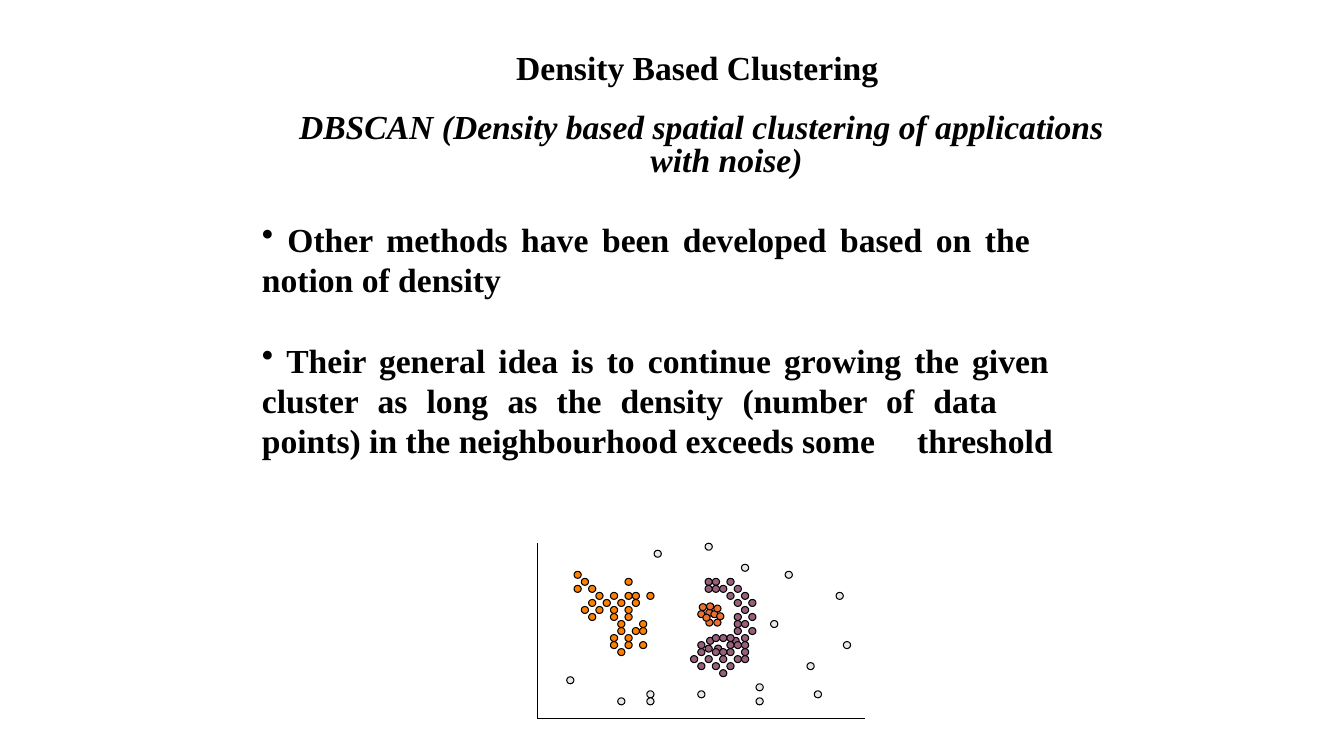
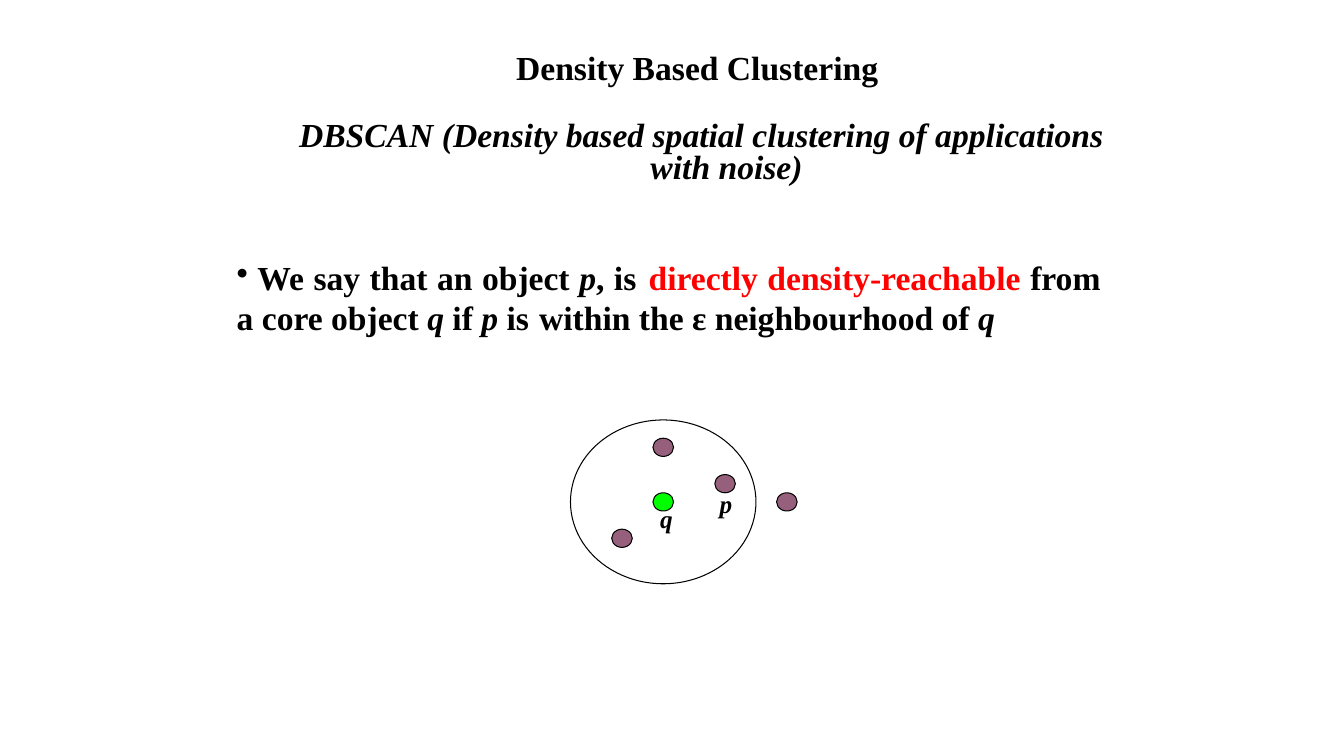
from dataclasses import dataclass

from lxml.etree import SubElement
from pptx import Presentation
from pptx.dml.color import RGBColor
from pptx.enum.shapes import MSO_CONNECTOR, MSO_SHAPE
from pptx.enum.text import PP_ALIGN
from pptx.oxml.ns import qn
from pptx.util import Pt


@dataclass(frozen=True)
class Theme:
    font: str = "Times New Roman"
    text_size: int = 24
    label_size: int = 18
    line_width: float = 0.75
    ink: str = "000000"
    accent: str = "FF0000"
    orange: str = "FF8000"
    rust: str = "E97132"
    plum: str = "96607D"
    green: str = "00FF00"
    grey: str = "E8E8E8"


THEME = Theme()

TITLE = "Density Based Clustering"
SUBTITLE = "DBSCAN (Density based spatial clustering of applications with noise)"

DENSITY_POINTS = [
    [(" Other methods have been developed based on the \tnotion of density", "")],
    [(" Their general idea is to continue growing the given \tcluster as long as the density "
      "(number of data \tpoints) in the neighbourhood exceeds some \tthreshold ", "")],
]
REACHABLE_POINTS = [[
    (" We say that an object ", ""), ("p", "italic"), (", is \t", ""),
    ("directly density-reachable ", "accent"), ("from \ta core object ", ""),
    ("q", "italic"), (" if ", ""), ("p", "italic"),
    (" is \twithin the ε neighbourhood of ", ""), ("q", "italic"),
]]

# Each cluster maps a grid row to the columns that hold a dot.
CLUSTERS = [
    (THEME.orange, {
        4: [1], 5: [2, 8], 6: [1, 3], 7: [4, 6, 8, 9, 11], 8: [3, 5, 7, 9],
        9: [2, 4, 6, 8], 10: [3, 6, 8], 11: [7, 10], 12: [7, 9, 10],
        13: [6, 8], 14: [6, 8, 10], 15: [7]}),
    (THEME.plum, {
        5: [19, 20, 22], 6: [19, 20, 21, 23], 7: [22, 24], 8: [23, 25], 9: [24],
        10: [23, 25], 11: [23, 24], 12: [23, 25], 13.4: [19.2, 22.7],
        13: [20, 21, 22, 24], 14.5: [19, 20.3], 14: [18, 22, 23, 24],
        15: [18, 20, 21, 22, 24], 16: [17, 19, 21, 23, 24], 17: [18, 20, 22],
        18: [21]}),
    (THEME.grey, {
        0: [19], 1: [12], 3: [24], 4: [30], 7: [37], 11: [28], 14: [38],
        17: [33], 19: [0], 20: [26], 21: [11, 18, 34], 22: [7, 11, 26]}),
    (THEME.rust, {
        9.4: [19.1], 10.8: [19.1, 20.2], 9.6: [18, 19.8], 10.1: [18.7],
        8.6: [18.2], 8.5: [19.2], 9.9: [20.6], 8.8: [20.2]}),
]


def color(code):
    return RGBColor.from_string(code)


def style_span(span, size=THEME.text_size, italic=False, ink=THEME.ink):
    font = span.font
    font.name, font.size, font.bold, font.italic = THEME.font, Pt(size), True, italic
    font.color.rgb = color(ink)


def add_text_frame(page, box):
    frame = page.shapes.add_textbox(*map(Pt, box)).text_frame
    frame.word_wrap = True
    return frame


def add_line_of_text(page, box, text, align=PP_ALIGN.CENTER, **style):
    para = add_text_frame(page, box).paragraphs[0]
    para.text = text
    para.alignment = align
    style_span(para.runs[0], **style)
    return para


def add_heading(page, subtitle_top):
    add_line_of_text(page, (180, 30, 636, 36), TITLE)
    subtitle = add_line_of_text(page, (198, subtitle_top, 606, 36), SUBTITLE, italic=True)
    subtitle.line_spacing = 0.8
    properties = subtitle._p.get_or_add_pPr()
    properties.set("marL", str(Pt(36)))
    properties.set("indent", str(-Pt(36)))


def add_bullets(page, box, points):
    frame = add_text_frame(page, box)
    for index, pieces in enumerate(points):
        para = frame.add_paragraph() if index else frame.paragraphs[0]
        para.alignment = PP_ALIGN.JUSTIFY
        para.space_before = Pt(29 if index else 0)
        SubElement(para._p.get_or_add_pPr(), qn("a:buChar")).set("char", "•")
        for text, kind in pieces:
            span = para.add_run()
            span.text = text
            style_span(span, italic=kind == "italic",
                       ink=THEME.accent if kind == "accent" else THEME.ink)


def add_ellipse(group, box, fill=None):
    ellipse = group.shapes.add_shape(MSO_SHAPE.OVAL, *map(Pt, box))
    ellipse.shadow.inherit = False
    if fill:
        ellipse.fill.solid()
        ellipse.fill.fore_color.rgb = color(fill)
    else:
        ellipse.fill.background()
    ellipse.line.color.rgb = color(THEME.ink)
    ellipse.line.width = Pt(THEME.line_width)


def add_axis(group, start, end):
    axis = group.shapes.add_connector(MSO_CONNECTOR.STRAIGHT, *map(Pt, start + end))
    axis.line.color.rgb = color(THEME.ink)
    axis.line.width = Pt(THEME.line_width)
    SubElement(axis._element.spPr, qn("a:effectLst"))


def add_scatter(page, box):
    left, top, width, height = box
    group = page.shapes.add_group_shape()
    corner = (left, top + height)
    add_axis(group, (left, top), corner)
    add_axis(group, corner, (left + width, top + height))
    step_x, step_y = width / 45, height / 25
    for fill, rows in CLUSTERS:
        for row, columns in rows.items():
            for column in columns:
                add_ellipse(group, (left + (column + 4) * step_x, top + row * step_y,
                                    step_x, step_y), fill)


def add_neighbourhood(page, box):
    """Draw the circle around q on a nine by nine grid of dot-sized cells."""
    left, top, width, height = box
    group = page.shapes.add_group_shape()
    cell_x, cell_y = width / 9, height / 9
    add_ellipse(group, box)
    for column, row, fill in [(4, 4, THEME.green), (2, 6, THEME.plum), (7, 3, THEME.plum),
                              (4, 1, THEME.plum), (10, 4, THEME.plum)]:
        add_ellipse(group, (left + column * cell_x, top + row * cell_y, cell_x, cell_y), fill)
    for name, offset_x, offset_y in [("q", 57, 56), ("p", 99.5, 45.5)]:
        add_line_of_text(page, (left + offset_x, top + offset_y, 18, 29), name,
                         PP_ALIGN.LEFT, size=THEME.label_size, italic=True)


def add_density_slide(page):
    add_heading(page, 78)
    add_bullets(page, (180, 152.5, 588, 211), DENSITY_POINTS)
    add_scatter(page, (384, 388, 234, 125.5))


def add_reachable_slide(page):
    add_heading(page, 83.5)
    add_bullets(page, (162, 180, 654, 65.5), REACHABLE_POINTS)
    add_neighbourhood(page, (407.5, 300, 132.5, 117))


def main():
    deck = Presentation()
    deck.slide_width, deck.slide_height = Pt(960), Pt(540)
    for build in (add_density_slide, add_reachable_slide):
        build(deck.slides.add_slide(deck.slide_layouts[6]))
    deck.save("out.pptx")


if __name__ == "__main__":
    main()
